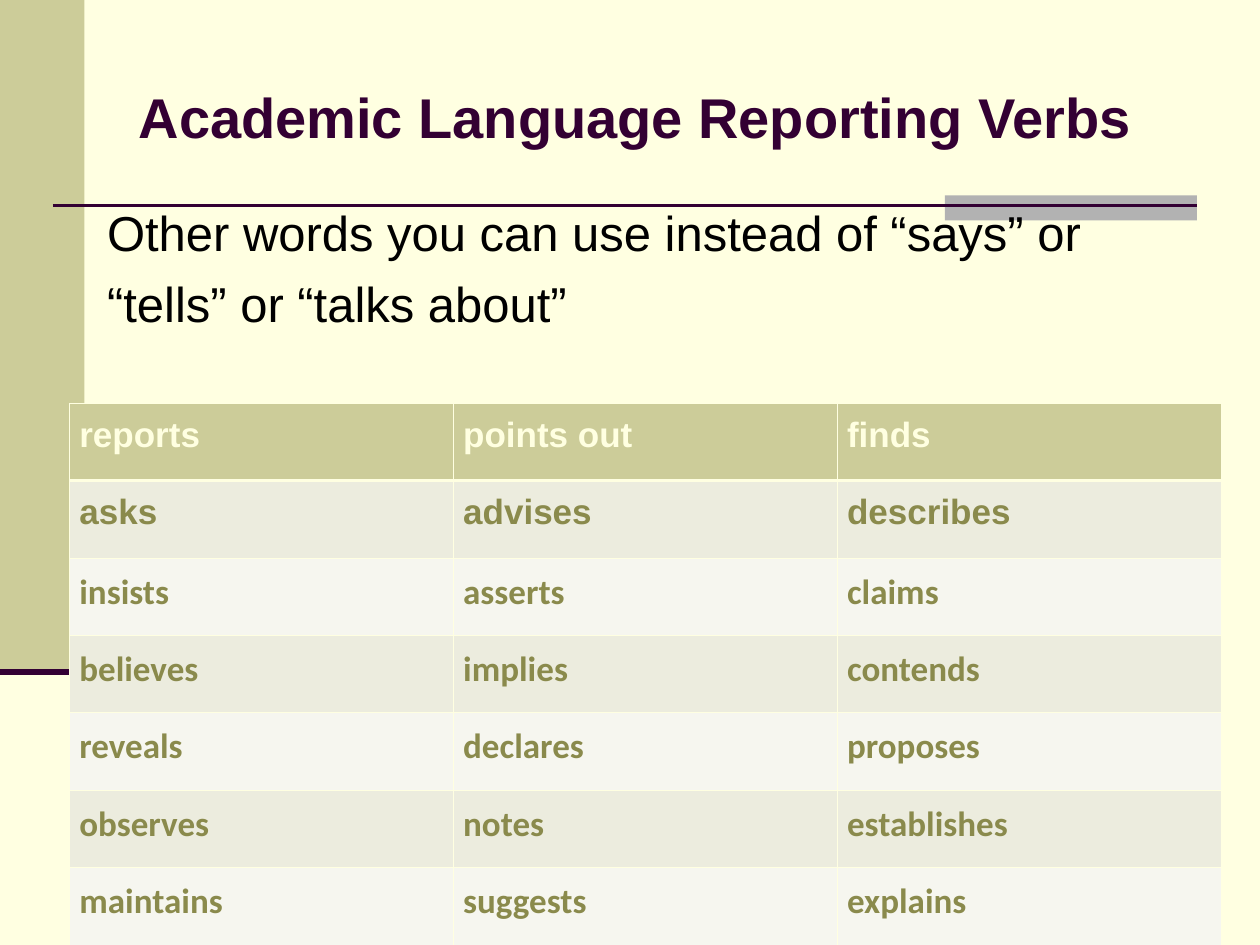
from dataclasses import dataclass

from lxml import etree
from pptx import Presentation
from pptx import util as u
from pptx.dml.color import RGBColor
from pptx.enum import shapes, text
from pptx.oxml import ns


@dataclass(frozen=True)
class Theme:
    paper: str = "FFFFE1"
    olive: str = "CCCC99"
    moss: str = "8A8A4C"
    plum: str = "330033"
    gray: str = "B2B2B2"
    ink: str = "000000"
    bands: tuple = ("F6F6EF", "ECECDE")
    sans: str = "Arial"
    alt: str = "Calibri"
    head: int = 32
    body: int = 28
    cell: int = 20


class Deck:
    """Hold the style and the current slide, and draw each kind of element."""

    def __init__(self, theme):
        self.theme = theme
        self.prs = Presentation()
        self.prs.slide_width, self.prs.slide_height = u.Inches(10), u.Inches(7.5)
        self.slide = self.prs.slides.add_slide(self.prs.slide_layouts[1])
        self.paint(self.slide.background.fill, theme.paper)

    def paint(self, fill, color):
        fill.solid()
        fill.fore_color.rgb = RGBColor.from_string(color)

    def add_words(self, para, words, size, color, bold=False, face=None):
        run = para.add_run()
        run.text = words
        font = run.font
        font.name, font.size, font.bold = face or self.theme.sans, u.Pt(size), bold
        font.color.rgb = RGBColor.from_string(color)

    def block(self, color, *box):
        rect = self.slide.shapes.add_shape(
            shapes.MSO_SHAPE.RECTANGLE, *map(u.Inches, box))
        rect.shadow.inherit = False
        self.paint(rect.fill, color)
        rect.line.fill.background()

    def rule(self, x, y, end, width):
        line = self.slide.shapes.add_connector(
            shapes.MSO_CONNECTOR.STRAIGHT, *map(u.Inches, (x, y, end, y)))
        line.line.color.rgb = RGBColor.from_string(self.theme.plum)
        line.line.width = u.Pt(width)
        etree.SubElement(line.element.spPr, ns.qn("a:effectLst"))

    def place(self, holder, anchor, *box):
        holder.left, holder.top, holder.width, holder.height = map(u.Inches, box)
        holder.element.getparent().append(holder.element)
        frame = holder.text_frame
        frame.word_wrap = True
        frame.auto_size = text.MSO_AUTO_SIZE.NONE
        frame.vertical_anchor = anchor
        return frame

    def title(self, words, *box):
        frame = self.place(self.slide.shapes.title, text.MSO_ANCHOR.MIDDLE, *box)
        para = frame.paragraphs[0]
        para.alignment = text.PP_ALIGN.LEFT
        self.add_words(para, words, self.theme.head, self.theme.plum, True)

    def body(self, lines, *box):
        frame = self.place(self.slide.placeholders[1], text.MSO_ANCHOR.TOP, *box)
        for i, words in enumerate(lines):
            para = frame.add_paragraph() if i else frame.paragraphs[0]
            props = para._p.get_or_add_pPr()
            props.set("marL", str(u.Inches(0.38)))
            props.set("indent", str(u.Inches(-0.38)))
            etree.SubElement(props, ns.qn("a:buNone"))
            para.space_before = u.Pt(7 if i else 0)
            self.add_words(para, words, self.theme.body, self.theme.ink)

    def edge(self, cell, **widths):
        props = cell._tc.get_or_add_tcPr()
        for side in "LRTB":
            line = etree.SubElement(props, ns.qn(f"a:ln{side}"))
            line.set("w", str(u.Pt(widths.get(side, 0.45))))
            fill = etree.SubElement(line, ns.qn("a:solidFill"))
            etree.SubElement(fill, ns.qn("a:srgbClr")).set("val", self.theme.paper)

    def table(self, rows, *box):
        t = self.theme
        grid = self.slide.shapes.add_table(
            len(rows), len(rows[0]), *map(u.Inches, box)).table
        for r, row in enumerate(rows):
            for c, words in enumerate(row):
                cell = grid.cell(r, c)
                cell.margin_left = cell.margin_right = u.Inches(0.08)
                cell.margin_top = cell.margin_bottom = u.Inches(0.05)
                thick = {0: {"B": 1.47}, 1: {"T": 1.47}}.get(r, {})
                self.edge(cell, **thick)
                self.paint(cell.fill, t.bands[r % 2] if r else t.olive)
                para = cell.text_frame.paragraphs[0]
                para.line_spacing = 1.15
                self.add_words(para, words, t.cell, t.moss if r else t.paper,
                               True, t.sans if r < 2 else t.alt)


def main():
    theme = Theme()
    deck = Deck(theme)
    deck.block(theme.olive, 0, 0, 0.67, 5.33)
    deck.block(theme.gray, 7.5, 1.55, 2, 0.2)
    deck.rule(0.42, 1.63, 9.5, 1.5)
    deck.rule(0, 5.33, 0.67, 3.5)
    deck.title("Academic Language Reporting Verbs", 1, 0.3, 8.5, 1.25)
    deck.body(["Other words you can use instead of “says” or",
               "“tells” or “talks about”"], 0.75, 1.56, 8.5, 5.94)
    deck.table([
        ("reports", "points out", "finds"),
        ("asks", "advises", "describes"),
        ("insists", "asserts", "claims"),
        ("believes", "implies", "contends"),
        ("reveals", "declares", "proposes"),
        ("observes", "notes", "establishes"),
        ("maintains", "suggests", "explains"),
    ], 0.55, 3.2, 9.14, 4.3)
    deck.prs.save("out.pptx")


if __name__ == "__main__":
    main()
